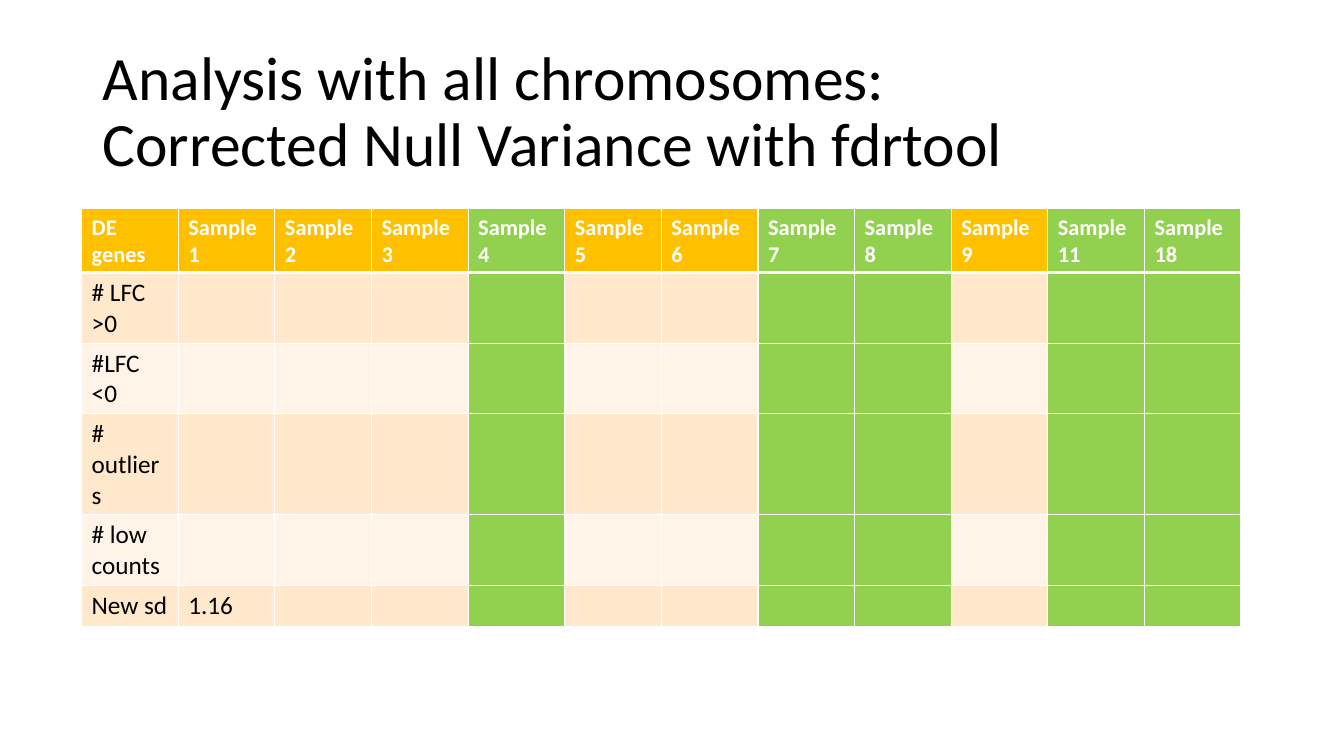
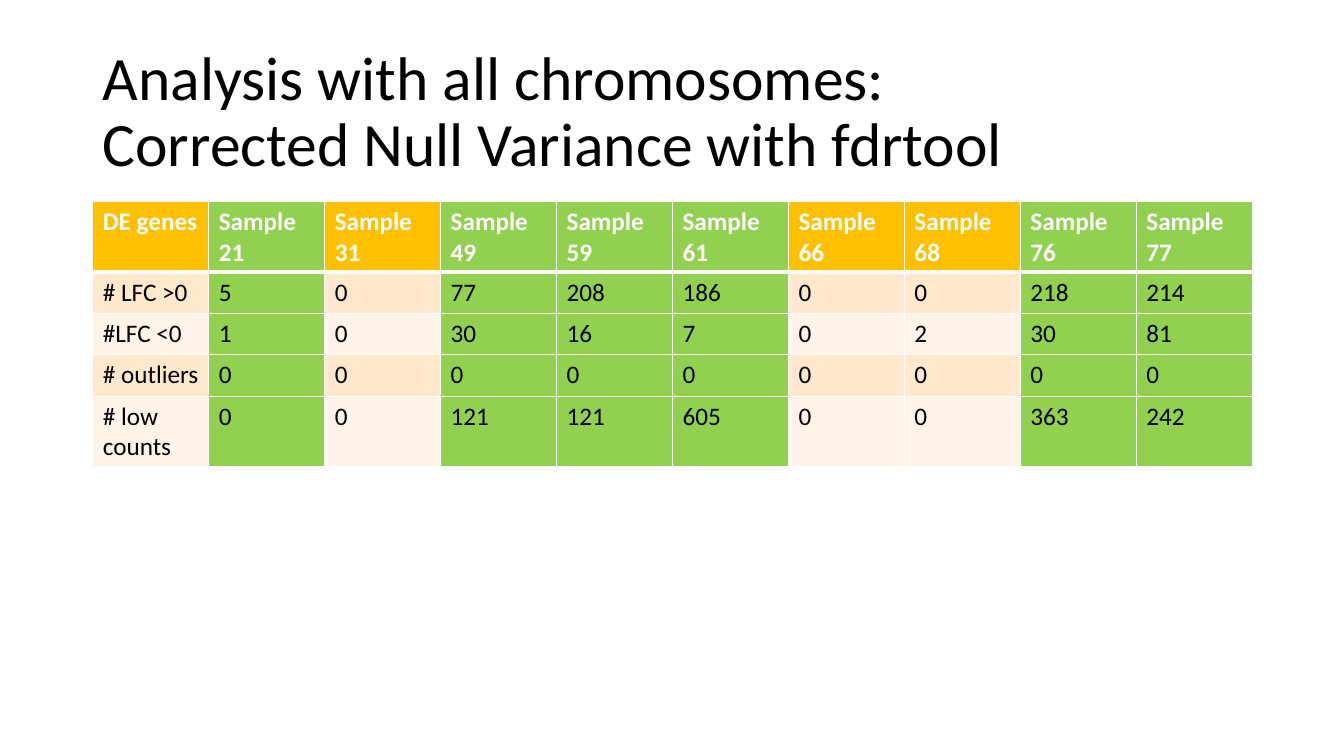
from pptx import Presentation
from pptx.dml.color import RGBColor
from pptx.enum import text
from pptx.oxml import parse_xml
from pptx.oxml.ns import nsdecls
from pptx.util import Inches, Pt

COLOURS = {
    "text": "000000",
    "white": "FFFFFF",
    "header": "FFC000",
    "highlight": "92D050",
    "odd": "FFE8CC",
    "even": "FFF4E7",
}
FONT = "Calibri"
TITLE = "Analysis with all chromosomes:\vCorrected Null Variance with fdrtool"
CONTENT_WIDTH = 11.5
ROW_HEIGHT = 0.41
BODY_SIZE = 18
THIN, THICK = 1, 3


class Report:
    """Holds the deck, its style and the current page."""

    def __init__(self):
        self.deck = Presentation()
        self.deck.slide_width = Inches(13.33)
        self.deck.slide_height = Inches(7.5)
        self.page = None

    def add_page(self):
        self.page = self.deck.slides.add_slide(self.deck.slide_layouts[6])
        self.add_title()

    def format_runs(self, para, size, colour, bold=False):
        for span in para.runs:
            span.font.name = FONT
            span.font.size = Pt(size)
            span.font.bold = bold
            span.font.color.rgb = RGBColor.from_string(COLOURS[colour])

    def add_title(self):
        box = self.page.shapes.add_textbox(
            Inches(0.92), Inches(0.4), Inches(CONTENT_WIDTH), Inches(1.45))
        frame = box.text_frame
        frame.word_wrap = True
        frame.vertical_anchor = text.MSO_ANCHOR.MIDDLE
        para = frame.paragraphs[0]
        para.text = TITLE
        para.line_spacing = 0.9
        self.format_runs(para, 44, "text")

    def add_borders(self, cell, top, bottom):
        properties = cell._tc.get_or_add_tcPr()
        for side, width in zip("LRTB", (THIN, THIN, top, bottom)):
            properties.append(parse_xml(
                f'<a:ln{side} {nsdecls("a")} w="{Pt(width)}"><a:solidFill>'
                f'<a:srgbClr val="{COLOURS["white"]}"/></a:solidFill></a:ln{side}>'))

    def add_sample_table(self, left, top, samples, highlighted, rows, header_size):
        """Rows map a label to its values; missing values leave cells empty."""
        header = ["DE genes"] + [f"Sample {number}" for number in samples]
        lines = [header] + [[label, *values] for label, values in rows.items()]
        table = self.page.shapes.add_table(
            len(lines), len(header), Inches(left), Inches(top),
            Inches(CONTENT_WIDTH), Inches(ROW_HEIGHT * len(lines))).table
        for column in table.columns:
            column.width = Inches(CONTENT_WIDTH / len(header))
        green = {samples.index(number) + 1 for number in highlighted}

        for row, line in enumerate(lines):
            is_header = row == 0
            band = "header" if is_header else ("even", "odd")[row % 2]
            for column in range(len(header)):
                cell = table.cell(row, column)
                self.add_borders(cell, THICK if row == 1 else THIN,
                                 THICK if is_header else THIN)
                cell.fill.solid()
                cell.fill.fore_color.rgb = RGBColor.from_string(
                    COLOURS["highlight" if column in green else band])
                if column < len(line):
                    para = cell.text_frame.paragraphs[0]
                    para.text = str(line[column])
                    self.format_runs(para, header_size if is_header else BODY_SIZE,
                                     "white" if is_header else "text", is_header)


def main():
    report = Report()

    report.add_page()
    report.add_sample_table(
        0.81, 2.07,
        samples=[1, 2, 3, 4, 5, 6, 7, 8, 9, 11, 18],
        highlighted=[4, 7, 8, 11, 18],
        rows={
            "# LFC >0": [],
            "#LFC <0": [],
            "# outliers": [],
            "# low counts": [],
            "New sd": [1.16],
        },
        header_size=16)

    report.add_page()
    report.add_sample_table(
        0.92, 2,
        samples=[21, 31, 49, 59, 61, 66, 68, 76, 77],
        highlighted=[21, 49, 59, 61, 76, 77],
        rows={
            "# LFC >0": [5, 0, 77, 208, 186, 0, 0, 218, 214],
            "#LFC <0": [1, 0, 30, 16, 7, 0, 2, 30, 81],
            "# outliers": [0] * 9,
            "# low counts": [0, 0, 121, 121, 605, 0, 0, 363, 242],
        },
        header_size=18)

    report.deck.save("out.pptx")


if __name__ == "__main__":
    main()
